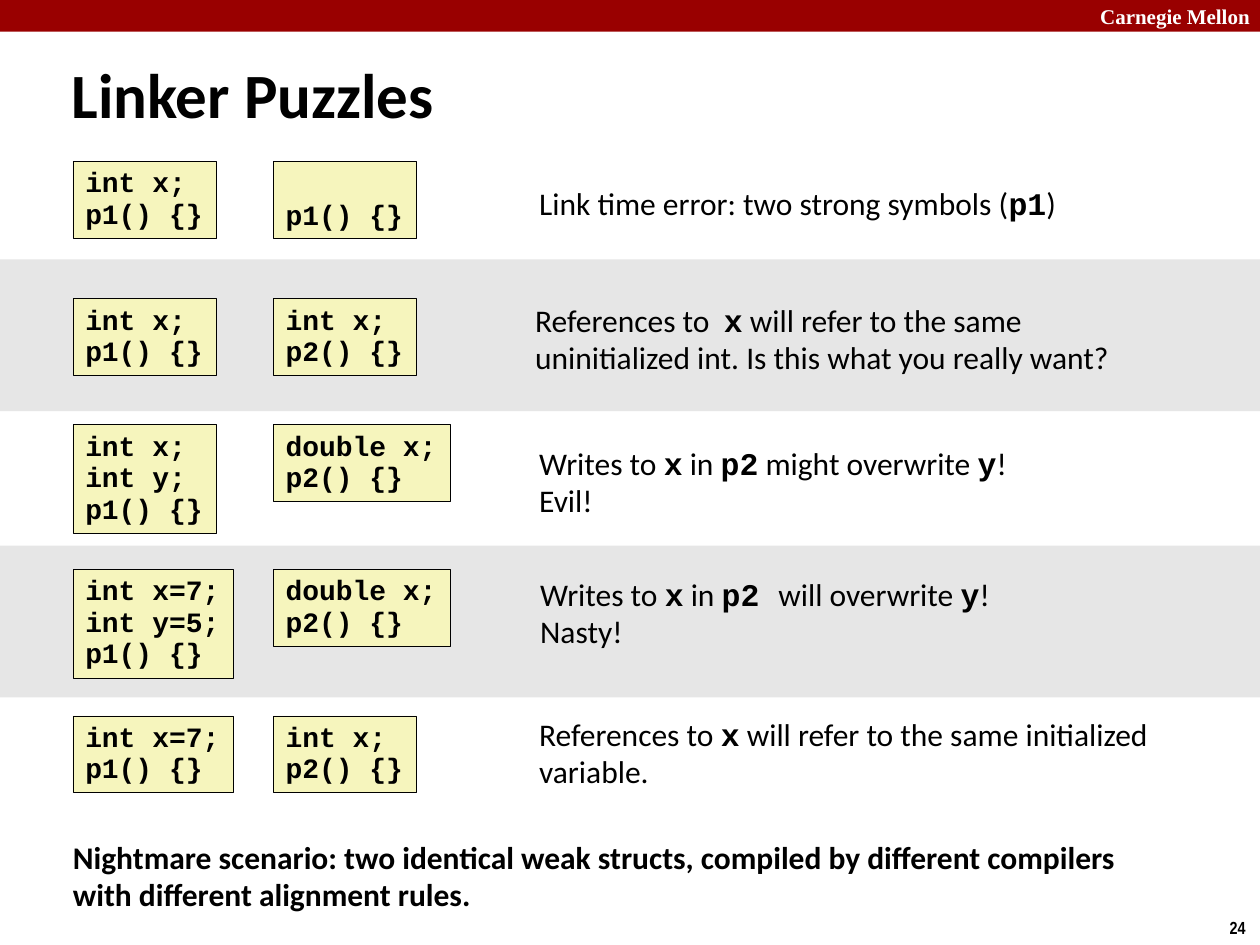
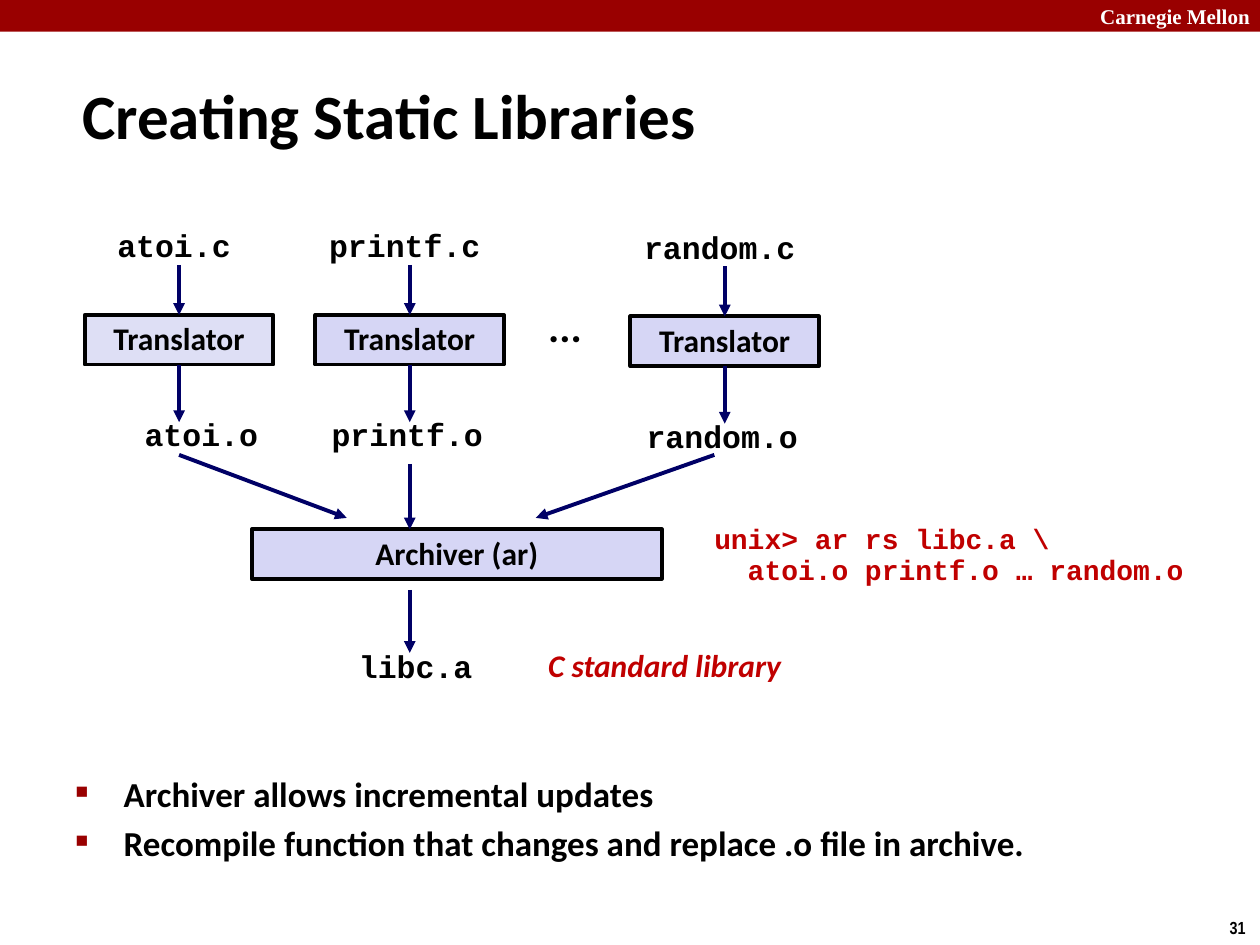
from dataclasses import dataclass, replace

from lxml.etree import SubElement
from pptx import Presentation
from pptx.dml.color import RGBColor
from pptx.enum.shapes import MSO_CONNECTOR, MSO_SHAPE
from pptx.enum.text import MSO_ANCHOR, MSO_AUTO_SIZE, PP_ALIGN
from pptx.oxml.ns import qn
from pptx.util import Cm, Pt

BLACK = RGBColor(0x00, 0x00, 0x00)
WHITE = RGBColor(0xFF, 0xFF, 0xFF)
CRIMSON = RGBColor(0x99, 0x00, 0x00)
RED = RGBColor(0xC0, 0x00, 0x00)
NAVY = RGBColor(0x00, 0x00, 0x66)
GREY = RGBColor(0xE6, 0xE6, 0xE6)
CREAM = RGBColor(0xF6, 0xF5, 0xBD)
LAVENDER = RGBColor(0xD6, 0xD6, 0xF5)
PALE_LAVENDER = RGBColor(0xDE, 0xDF, 0xF5)

SLIDE_WIDTH, SLIDE_HEIGHT = 25.4, 19.05
CODE_FONT = "Courier New"


@dataclass(frozen=True)
class Style:
    """Look of the text in one kind of box."""
    font: str
    size: int
    spacing: float = 1.0
    color: RGBColor = BLACK
    bold: bool = True
    italic: bool = False
    align: PP_ALIGN = PP_ALIGN.LEFT


TITLE = Style("Calibri", 36)
BULLET = Style("Calibri", 20)
NOTE = Style("Calibri", 18, 0.98, bold=False)
WARNING = replace(NOTE, bold=True)
STEP = replace(WARNING, align=PP_ALIGN.CENTER)
CAPTION = replace(WARNING, color=RED, italic=True)
ELLIPSIS = replace(WARNING, size=24)
CODE = Style(CODE_FONT, 16, 0.94)
COMMAND = replace(CODE, color=RED)
FILE = replace(CODE, size=18)
SCHOOL = Style("Times New Roman", 12, color=WHITE, align=PP_ALIGN.RIGHT)
PAGE = Style("Arial Narrow", 10)


def write(frame, text, style, wrap=True, anchor=MSO_ANCHOR.TOP):
    """Write lines into a frame, with backquoted words in bold code type."""
    frame.word_wrap = wrap
    frame.auto_size = MSO_AUTO_SIZE.NONE
    frame.vertical_anchor = anchor
    for number, line in enumerate(text.split("\n")):
        paragraph = frame.add_paragraph() if number else frame.paragraphs[0]
        paragraph.alignment = style.align
        paragraph.line_spacing = style.spacing
        for position, words in enumerate(line.split("`")):
            if not words:
                continue
            is_code = position % 2 == 1
            run = paragraph.add_run()
            run.text = words
            run.font.name = CODE_FONT if is_code else style.font
            run.font.size = Pt(style.size)
            run.font.bold = style.bold or is_code
            run.font.italic = style.italic
            run.font.color.rgb = style.color


def add_label(slide, box, text, style, **layout):
    """Add a text box at left, top, width, height in centimetres."""
    label = slide.shapes.add_textbox(*map(Cm, box))
    write(label.text_frame, text, style, **layout)
    return label


def add_panel(slide, box, fill, line_width=None):
    """Add a filled rectangle, outlined in black if a line width is given."""
    panel = slide.shapes.add_shape(MSO_SHAPE.RECTANGLE, *map(Cm, box))
    panel.shadow.inherit = False
    panel.fill.solid()
    panel.fill.fore_color.rgb = fill
    if line_width:
        panel.line.color.rgb = BLACK
        panel.line.width = Pt(line_width)
    else:
        panel.line.fill.background()
    return panel


def add_arrow(slide, start, end):
    """Add a navy arrow between two points in centimetres."""
    arrow = slide.shapes.add_connector(
        MSO_CONNECTOR.STRAIGHT, *map(Cm, (*start, *end)))
    arrow.line.color.rgb = NAVY
    arrow.line.width = Pt(2.25)
    SubElement(arrow.line._get_or_add_ln(), qn("a:tailEnd"), type="triangle")
    SubElement(arrow._element.spPr, qn("a:effectLst"))
    return arrow


def start_slide(deck, layout_number, title, title_left, title_top, page):
    """Add a slide with the shared band, school name, title and page number."""
    slide = deck.slides.add_slide(deck.slide_layouts[layout_number])
    add_panel(slide, (0, 0, SLIDE_WIDTH, 0.64), CRIMSON)
    add_label(slide, (20, 0, 5.45, 0.64), "Carnegie Mellon", SCHOOL,
              anchor=MSO_ANCHOR.MIDDLE)
    add_label(slide, (24.54, 18.36, 0.86, 0.69), page, PAGE, wrap=False)
    place(slide.shapes.title, (title_left, title_top, 24, 2.18))
    write(slide.shapes.title.text_frame, title, TITLE,
          anchor=MSO_ANCHOR.MIDDLE)
    return slide


def place(holder, box):
    """Move a placeholder to a box in centimetres."""
    holder.left, holder.top, holder.width, holder.height = map(Cm, box)


def add_module(slide, left, top, code, lines=None, anchor=MSO_ANCHOR.TOP):
    """Add a code box sized by its longest line and its number of lines."""
    rows = code.split("\n")
    width = 0.51 + 0.34 * max(map(len, rows))
    height = 0.27 + 0.64 * (lines or len(rows))
    module = add_panel(slide, (left, top, width, height), CREAM, 0.25)
    write(module.text_frame, code, CODE, wrap=False, anchor=anchor)


def draw_puzzle(slide, top, first, second, note, note_left, note_shift):
    """Draw two modules side by side and the linker's answer."""
    add_module(slide, 1.47, top, first)
    add_module(slide, 5.51, top, second, 2, MSO_ANCHOR.BOTTOM
               if "\n" not in second else MSO_ANCHOR.TOP)
    add_label(slide, (note_left, top + note_shift, 14, 1.78), note, NOTE)


def build_puzzles(deck):
    """Build the slide of linker puzzles."""
    slide = start_slide(deck, 5, "Linker Puzzles", 1.19, 0.79, "24")
    for top in (5.23, 11):
        add_panel(slide, (0, top, SLIDE_WIDTH, 3.06), GREY)
    puzzles = (
        (3.25, "int x;\np1() {}", "p1() {}",
         "Link time error: two strong symbols (`p1`)", 10.62, 0.38),
        (6.02, "int x;\np1() {}", "int x;\np2() {}",
         "References to  `x` will refer to the same\n"
         "uninitialized int. Is this what you really want?", 10.54, -0.03),
        (8.56, "int x;\nint y;\np1() {}", "double x;\np2() {}",
         "Writes to `x` in `p2` might overwrite `y`!\nEvil!", 10.62, 0.3),
        (11.48, "int x=7;\nint y=5;\np1() {}", "double x;\np2() {}",
         "Writes to `x` in `p2 `will overwrite `y`!\nNasty!", 10.64, 0.03),
        (14.43, "int x=7;\np1() {}", "int x;\np2() {}",
         "References to `x` will refer to the same initialized\nvariable.",
         10.62, -0.1),
    )
    for puzzle in puzzles:
        draw_puzzle(slide, *puzzle)
    add_label(slide, (1.22, 16.81, 23, 1.78),
              "Nightmare scenario: two identical weak structs, compiled by "
              "different compilers\nwith different alignment rules.", WARNING)


def add_file(slide, center, top, name):
    """Add a file name around a centre line."""
    width = 0.51 + 0.38 * len(name)
    add_label(slide, (center - width / 2, top, width, 1), name, FILE,
              wrap=False)


def add_step(slide, box, text, fill=LAVENDER):
    """Add an outlined box for one tool of the build."""
    step = add_panel(slide, box, fill, 2.25)
    write(step.text_frame, text, STEP)
    return step


def draw_translation(slide, center, top, name, fill, object_shift):
    """Draw a column from a source file through its translator to an object."""
    translator = add_step(slide, (center - 1.9, top + 1.85, 3.8, 1),
                          "Translator", fill)
    add_file(slide, center - 0.1, top, f"{name}.c")
    add_file(slide, center + object_shift, top + 3.81, f"{name}.o")
    inward = add_arrow(slide, (center, top + 0.84), (center, top + 1.85))
    inward.end_connect(translator, 0)
    outward = add_arrow(slide, (center, top + 2.85), (center, top + 4.01))
    outward.begin_connect(translator, 2)


def draw_archive(slide, left, top):
    """Draw the archiver, its inputs, its command and the resulting library."""
    middle = left + 3.18
    add_step(slide, (left, top, 8.26, 1), "Archiver (ar)")
    add_arrow(slide, (left - 1.47, top - 1.5), (left + 1.91, top - 0.23))
    add_arrow(slide, (middle, top - 1.32), (middle, top))
    add_arrow(slide, (left + 9.32, top - 1.5), (left + 5.72, top - 0.23))
    add_arrow(slide, (middle, top + 1.22), (middle, top + 2.49))
    add_file(slide, middle + 0.12, top + 2.31, "libc.a")
    add_label(slide, (left + 5.72, top + 2.26, 8.26, 1.02),
              "C standard library", CAPTION)
    add_label(slide, (left + 9.07, top - 0.23, 10.11, 1.55),
              "unix> ar rs libc.a \\\n  atoi.o printf.o … random.o",
              COMMAND, wrap=False)


def write_bullets(body, box, text):
    """Write a list with small crimson square bullets in the body."""
    place(body, box)
    write(body.text_frame, text, BULLET)
    for number, paragraph in enumerate(body.text_frame.paragraphs):
        properties = paragraph._p.get_or_add_pPr()
        properties.set("marL", str(Cm(0.97)))
        properties.set("indent", str(-Cm(0.97)))
        bullet_color = SubElement(properties, qn("a:buClr"))
        SubElement(bullet_color, qn("a:srgbClr"), val=str(CRIMSON))
        SubElement(properties, qn("a:buSzPct"), val="60000")
        SubElement(properties, qn("a:buFont"), typeface="Arial Narrow")
        SubElement(properties, qn("a:buChar"), char="■")
        paragraph.space_before = Pt(4 if number else 0)


def build_libraries(deck):
    """Build the slide on creating static libraries."""
    slide = start_slide(deck, 1, "Creating Static Libraries", 1.4, 1.22, "31")
    draw_translation(slide, 3.61, 4.5, "atoi", PALE_LAVENDER, 0.45)
    draw_translation(slide, 8.26, 4.5, "printf", LAVENDER, -0.05)
    draw_translation(slide, 14.61, 4.53, "random", LAVENDER, -0.05)
    add_label(slide, (10.8, 5.99, 1.22, 1.27), "...", ELLIPSIS, wrap=False)
    draw_archive(slide, 5.08, 10.67)
    write_bullets(slide.placeholders[1], (1.27, 15.44, 23.09, 2.97),
                  "Archiver allows incremental updates\n"
                  "Recompile function that changes and replace .o file in "
                  "archive.")


def main():
    """Build and save the deck."""
    deck = Presentation()
    deck.slide_width, deck.slide_height = Cm(SLIDE_WIDTH), Cm(SLIDE_HEIGHT)
    build_puzzles(deck)
    build_libraries(deck)
    deck.save("out.pptx")


if __name__ == "__main__":
    main()
